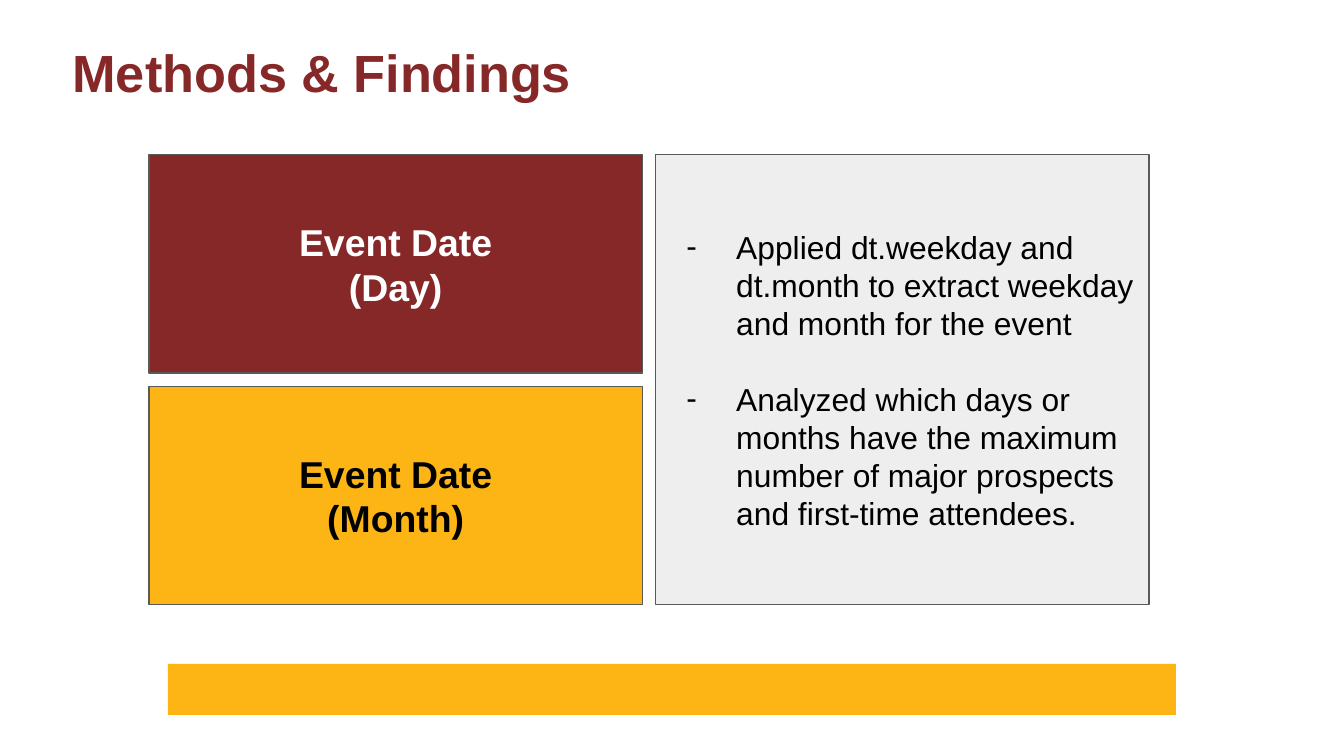
from lxml import etree
from pptx import Presentation
from pptx import util as u
from pptx.dml.color import RGBColor
from pptx.enum import shapes, text
from pptx.oxml.ns import qn

# Content
TITLE = "Methods & Findings"
EVENTS = [  # label, fill, text colour
    ("Event Date\n(Day)", "872828", "FFFFFF"),
    ("Event Date\n(Month)", "FDB515", "000000"),
]
FINDINGS = [
    "Applied dt.weekday and dt.month to extract weekday and month for the event",
    "Analyzed which days or months have the maximum number of major prospects "
    "and first-time attendees.",
]

# Grid in inches, on a 16:9 slide
WIDTH = 10
HEIGHT = WIDTH * 9 / 16
LEFT, TOP = 1.11, 1.15
COLUMN, BLOCK, GAP = 3.67, 3.35, 0.1
ROW = (BLOCK - GAP) / len(EVENTS)

deck = Presentation()
deck.slide_width, deck.slide_height = u.Inches(WIDTH), u.Inches(HEIGHT)
page = deck.slides.add_slide(deck.slide_layouts[6])


def colour(value):
    return RGBColor.from_string(value)


def add_panel(left, top, width, height, fill, line=None):
    panel = page.shapes.add_shape(
        shapes.MSO_SHAPE.RECTANGLE, *map(u.Inches, (left, top, width, height)))
    panel.shadow.inherit = False
    panel.fill.solid()
    panel.fill.fore_color.rgb = colour(fill)
    if line:
        panel.line.color.rgb = colour(line)
        panel.line.width = u.Pt(0.75)
    else:
        panel.line.fill.background()
    return panel


def add_dash(para, size):
    props = para._p.get_or_add_pPr()
    props.set("marL", str(u.Inches(0.5)))
    props.set("indent", str(u.Inches(-0.37)))
    bullet_colour = etree.SubElement(props, qn("a:buClr"))
    etree.SubElement(bullet_colour, qn("a:srgbClr"), val="000000")
    etree.SubElement(props, qn("a:buSzPts"), val=str(size * 100))
    etree.SubElement(props, qn("a:buFont"), typeface="Arial")
    etree.SubElement(props, qn("a:buChar"), char="-")


def write(box, paragraphs, size, ink, bold=False, align=text.PP_ALIGN.LEFT,
          anchor=text.MSO_ANCHOR.MIDDLE, inset=(0.1, 0.1), spacing=None,
          gap=0, dashed=False):
    frame = box.text_frame
    frame.word_wrap = True
    frame.vertical_anchor = anchor
    frame.margin_left = frame.margin_right = u.Inches(inset[0])
    frame.margin_top = frame.margin_bottom = u.Inches(inset[1])
    for index, words in enumerate(paragraphs):
        para = frame.add_paragraph() if index else frame.paragraphs[0]
        para.text = words.replace("\n", "\v")
        para.alignment = align
        if spacing:
            para.line_spacing = spacing
        if index:
            para.space_before = u.Pt(gap)
        if dashed:
            add_dash(para, size)
        for span in para.runs:
            span.font.name, span.font.size = "Arial", u.Pt(size)
            span.font.bold = bold
            span.font.color.rgb = colour(ink)


# Title
title = page.shapes.add_textbox(*map(u.Inches, (0.47, 0.31, 9.06, 0.5)))
write(title, [TITLE], size=28, ink="872828", bold=True, spacing=0.9,
      anchor=text.MSO_ANCHOR.TOP, inset=(0.07, 0.04))

# Footer band, centred on the slide
band = WIDTH * 0.75
add_panel((WIDTH - band) / 2, 4.94, band, 0.38, "FDB515")

# Event panels, stacked in the left column
for row, (label, fill, ink) in enumerate(EVENTS):
    panel = add_panel(LEFT, TOP + row * (ROW + GAP), COLUMN, ROW, fill, "595959")
    write(panel, [label], size=20, ink=ink, bold=True,
          align=text.PP_ALIGN.CENTER)

# Findings panel, spanning both rows of the right column
panel = add_panel(LEFT + COLUMN + GAP, TOP, COLUMN, BLOCK, "EEEEEE", "595959")
write(panel, FINDINGS, size=17, ink="000000", gap=20, dashed=True)

deck.save("out.pptx")
